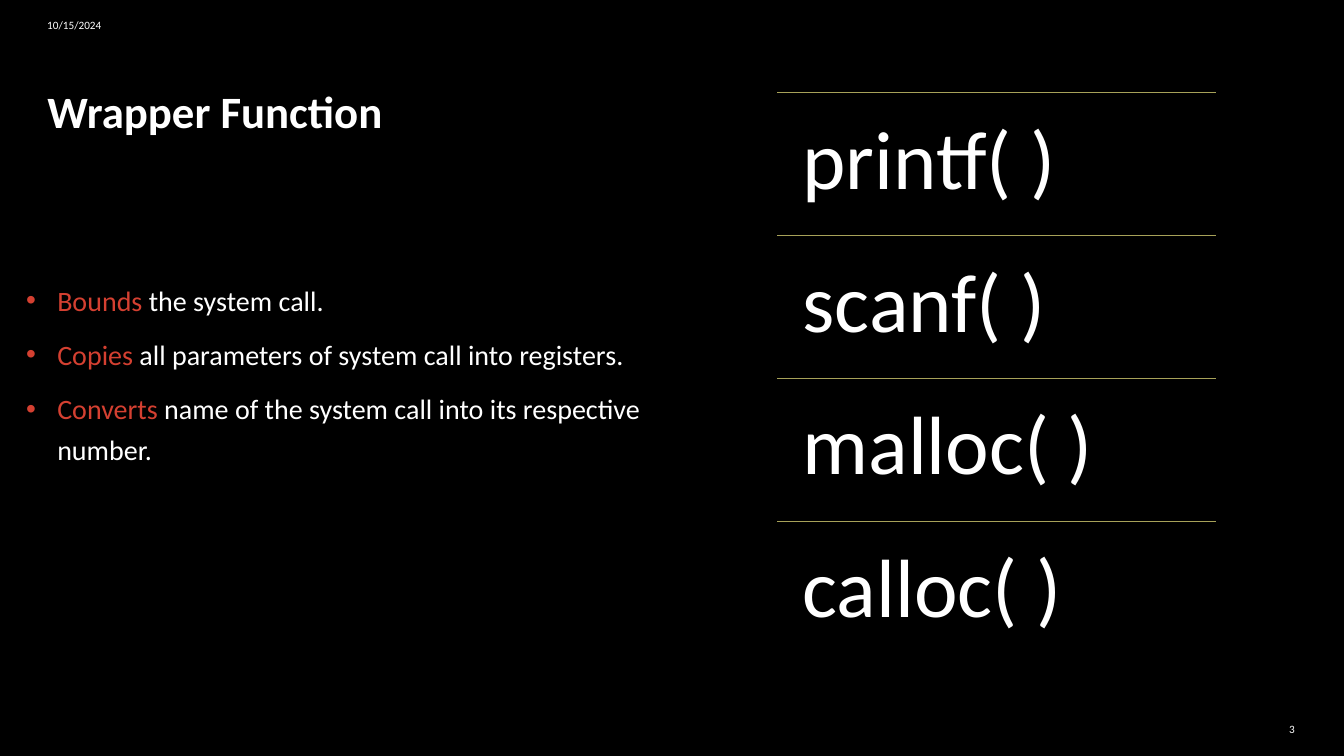
from dataclasses import dataclass

from lxml import etree
from pptx import Presentation
from pptx.dml.color import RGBColor
from pptx.enum.shapes import MSO_CONNECTOR
from pptx.enum.text import MSO_ANCHOR, MSO_AUTO_SIZE, PP_ALIGN
from pptx.oxml.ns import qn
from pptx.util import Inches, Pt

STRAIGHT = MSO_CONNECTOR.STRAIGHT
TOP, MIDDLE, BOTTOM = MSO_ANCHOR.TOP, MSO_ANCHOR.MIDDLE, MSO_ANCHOR.BOTTOM
LEFT, RIGHT = PP_ALIGN.LEFT, PP_ALIGN.RIGHT
TITLE_ONLY = 5


@dataclass(frozen=True)
class Theme:
    font: str = "Calibri"
    background: str = "000000"
    text: str = "FFFFFF"
    accent: str = "D44031"
    rule: str = "A7A259"
    title_size: int = 32
    body_size: int = 20
    small_size: int = 8
    function_size: int = 59


THEME = Theme()
WIDTH, HEIGHT = 13.33, 7.5
MARGIN = 0.37
LIST_LEFT, LIST_TOP, LIST_WIDTH, ROW_HEIGHT = 7.71, 0.92, 4.35, 1.417
BULLET_INDENT = 0.31

DUTIES = [
    ("Bounds", " the system call."),
    ("Copies", " all parameters of system call into registers."),
    ("Converts", " name of the system call into its respective number."),
]
FUNCTIONS = ["printf( )", "scanf( )", "malloc( )", "calloc( )"]


def write(box, paragraphs, *, size, bold=False, align=LEFT, anchor=TOP,
          spacing=1.0, before=0, inset=None, bullet=False):
    """Fill a box with paragraphs, each a list of (text, colour) spans."""
    frame = box.text_frame
    frame.word_wrap = True
    frame.auto_size = MSO_AUTO_SIZE.NONE
    frame.vertical_anchor = anchor
    if inset is not None:
        frame.margin_left = frame.margin_right = Inches(inset)
        frame.margin_top = frame.margin_bottom = Inches(inset)
    for index, spans in enumerate(paragraphs):
        para = frame.add_paragraph() if index else frame.paragraphs[0]
        para.alignment = align
        para.line_spacing = spacing
        para.space_before = Pt(before)
        for text, color in spans:
            span = para.add_run()
            span.text = text
            span.font.name = THEME.font
            span.font.size = Pt(size)
            span.font.bold = bold
            span.font.color.rgb = RGBColor.from_string(color)
        if bullet:
            add_bullet(para)


def add_bullet(para):
    properties = para._p.get_or_add_pPr()
    properties.set("marL", str(Inches(BULLET_INDENT)))
    properties.set("indent", str(-Inches(BULLET_INDENT)))
    etree.SubElement(properties, qn("a:buFont")).set("typeface", "Arial")
    etree.SubElement(properties, qn("a:buChar")).set("char", "•")


def add_text(slide, place, paragraphs, **text_format):
    box = slide.shapes.add_textbox(*map(Inches, place))
    write(box, paragraphs, **text_format)


def add_title(slide, place, text):
    title = slide.shapes.title
    title.left, title.top, title.width, title.height = map(Inches, place)
    write(title, [[(text, THEME.text)]], size=THEME.title_size, bold=True, spacing=0.9)


def add_rule(slide, left, top, width):
    rule = slide.shapes.add_connector(
        STRAIGHT, Inches(left), Inches(top), Inches(left + width), Inches(top))
    rule.line.color.rgb = RGBColor.from_string(THEME.rule)
    rule.line.width = Pt(1)
    etree.SubElement(rule._element.spPr, qn("a:effectLst"))


def add_function_list(slide, names):
    for row, name in enumerate(names):
        top = LIST_TOP + row * ROW_HEIGHT
        add_rule(slide, LIST_LEFT, top, LIST_WIDTH)
        add_text(slide, (LIST_LEFT, top, LIST_WIDTH, ROW_HEIGHT), [[(name, THEME.text)]],
                 size=THEME.function_size, spacing=0.9, inset=0.25)


def main():
    deck = Presentation()
    deck.slide_width, deck.slide_height = Inches(WIDTH), Inches(HEIGHT)
    slide = deck.slides.add_slide(deck.slide_layouts[TITLE_ONLY])
    slide.background.fill.solid()
    slide.background.fill.fore_color.rgb = RGBColor.from_string(THEME.background)

    add_title(slide, (MARGIN, 0.84, LIST_WIDTH, 1.94), "Wrapper Function")
    duties = [[(verb, THEME.accent), (rest, THEME.text)] for verb, rest in DUTIES]
    add_text(slide, (0.16, 0.88, 6.51, 3.79), duties, size=THEME.body_size,
             anchor=BOTTOM, spacing=1.2, before=10, bullet=True)
    add_text(slide, (MARGIN, 0.07, 3, 0.35), [[("10/15/2024", THEME.text)]],
             size=THEME.small_size, anchor=MIDDLE)
    add_text(slide, (12.47, 7.03, 0.47, 0.4), [[("3", THEME.text)]],
             size=THEME.small_size, anchor=MIDDLE, align=RIGHT)
    add_function_list(slide, FUNCTIONS)
    deck.save("out.pptx")


if __name__ == "__main__":
    main()
